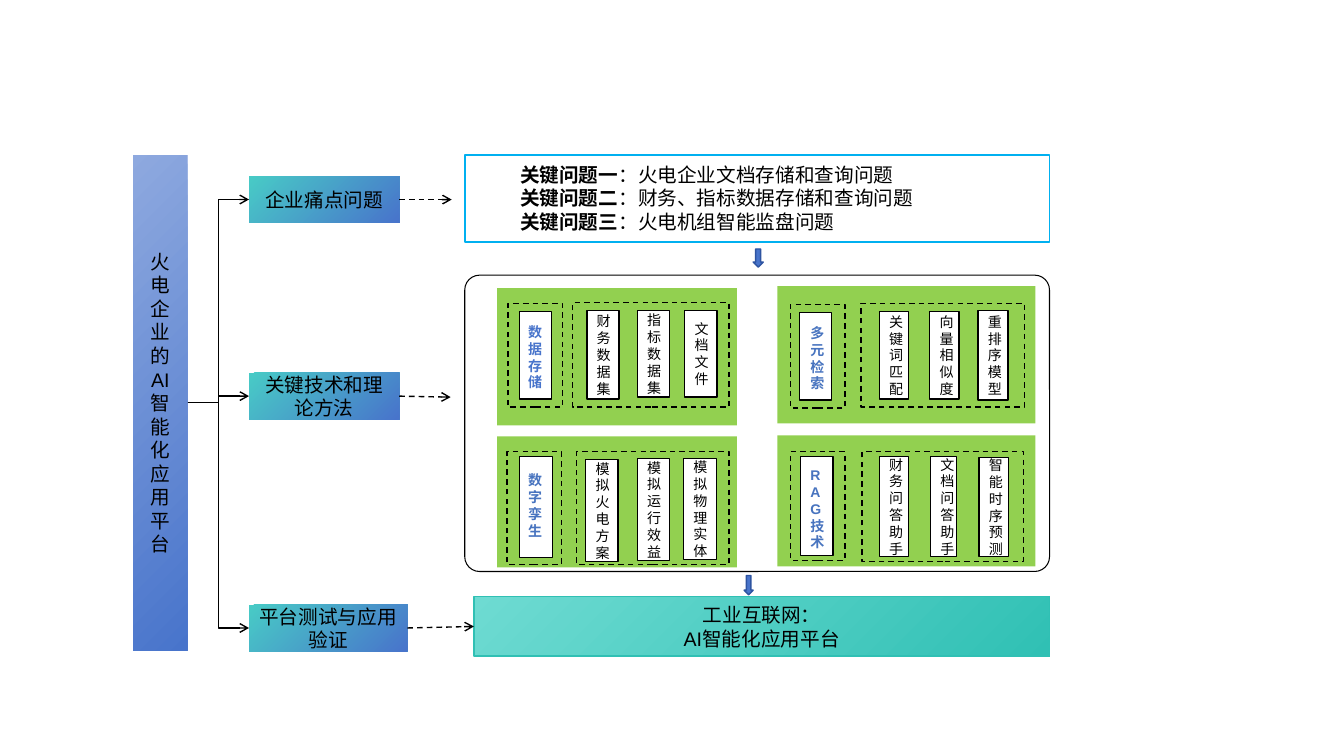
import dataclasses
import typing

import lxml.etree
import pptx
import pptx.dml.color
import pptx.enum.dml
import pptx.enum.shapes
import pptx.enum.text
import pptx.oxml.ns
import pptx.util

COLS, ROWS = 133.3, 75
UNIT = pptx.util.Inches(0.1)
KIND = pptx.enum.shapes.MSO_SHAPE
LINK = pptx.enum.shapes.MSO_CONNECTOR
ALIGN = pptx.enum.text.PP_ALIGN
DASH = pptx.enum.dml.MSO_LINE.DASH
TOP, LEFT, RIGHT = 0, 1, 3

HUES = {
    "black": "000000", "white": "FFFFFF", "green": "92D050", "sky": "00B0F0",
    "blue": "4874CB", "tag": "4874BF", "navy": "2E54A1", "pale": "8EA9DF",
    "aqua": "48CBC6", "mint": "6EDBD2", "teal": "30C0B4",
}
BODY = {"size": pptx.util.Pt(14), "name": "Arial", "bold": False}
SMALL = {**BODY, "size": pptx.util.Pt(10)}
BOLD = {**SMALL, "bold": True}
MIDDLE = {"word_wrap": True, "vertical_anchor": pptx.enum.text.MSO_ANCHOR.MIDDLE}
UPPER = {"word_wrap": True, "vertical_anchor": pptx.enum.text.MSO_ANCHOR.TOP}


class Box(typing.NamedTuple):
    col: float
    row: float
    wide: float
    high: float


class Look(typing.NamedTuple):
    fill: tuple[str, ...] = ()
    line: str = ""
    width: float = 1
    dash: bool = False


@dataclasses.dataclass
class Note:
    text: str
    box: Box


@dataclasses.dataclass
class Panel:
    field: Box
    tag: Box
    plate: Box
    label: Note
    hue: str
    group: Box
    cards: list[Note]


CARD = Look(("white",), "black")
DASHED = Look((), "black", dash=True)
STEP = Look(("aqua", "blue"))
ARROW = Look(("blue",), "navy")

PANELS = [
    Panel(Box(49.3, 28.6, 23.8, 13.6), Box(50.4, 30.1, 5.4, 10.3),
          Box(51.5, 30.9, 3.2, 8.7), Note("数据存储", Box(51.4, 31.6, 3, 7.7)),
          "blue", Box(56.8, 30, 15.5, 10.4),
          [Note("财务数据集", Box(58.2, 30.8, 3.2, 8.8)),
           Note("指标数据集", Box(63.2, 30.8, 3.2, 8.6)),
           Note("文档文件", Box(67.9, 30.8, 3.2, 8.6))]),
    Panel(Box(77.1, 28.4, 25.6, 13.6), Box(78.4, 30.2, 5.4, 10.3),
          Box(79.3, 31, 3.2, 8.7), Note("多元检索", Box(79.4, 31.7, 2.9, 7.7)),
          "tag", Box(85.4, 30.1, 16.2, 10.3),
          [Note("关键词匹配", Box(87.2, 30.9, 2.9, 8.7)),
           Note("向量相似度", Box(92.2, 30.9, 2.9, 8.7)),
           Note("重排序模型", Box(97, 30.8, 3, 8.9))]),
    Panel(Box(49.3, 43.3, 23.8, 13), Box(50.3, 44.8, 5.4, 11.2),
          Box(51.5, 45.3, 3.3, 10), Note("数字孪生", Box(51.4, 46.3, 2.5, 7.7)),
          "tag", Box(57.2, 44.8, 15.1, 11.2),
          [Note("模拟火电方案", Box(58.1, 45.6, 3.2, 10.1)),
           Note("模拟运行效益", Box(63.2, 45.5, 3.2, 10.1)),
           Note("模拟物理实体", Box(67.8, 45.5, 3.3, 10))]),
    Panel(Box(77.1, 43.2, 25.6, 13), Box(78.4, 44.8, 5.4, 10.8),
          Box(79.4, 45.3, 3.2, 9.8), Note("RAG\n技\n术", Box(79.4, 45.8, 3.2, 9.3)),
          "tag", Box(85.5, 44.8, 16, 10.9),
          [Note("财务问答助手", Box(87.2, 45.3, 2.9, 9.9)),
           Note("文档问答助手", Box(92.3, 45.3, 2.6, 9.9)),
           Note("智能时序预测", Box(97.1, 45.4, 2.9, 9.8))]),
]
STEPS = [
    Note("企业痛点问题", Box(24.7, 17.5, 14.9, 4.6)),
    Note("关键技术和理论方法", Box(24.7, 37, 14.9, 4.6)),
    Note("平台测试与应用验证", Box(24.7, 60, 15.7, 4.6)),
]
TITLE = Note("火\n电\n企\n业的\nAI\n智\n能\n化\n应\n用\n平\n台", Box(13.2, 15.4, 5.4, 49.1))
GOAL = Note("工业互联网：\nAI智能化应用平台", Box(47, 59.2, 57.1, 5.9))
ISSUES = [
    ("关键问题一", "：火电企业文档存储和查询问题"),
    ("关键问题二", "：财务、指标数据存储和查询问题"),
    ("关键问题三", "：火电机组智能监盘问题"),
]


def grid(*spots: float) -> list[int]:
    return [round(spot * UNIT) for spot in spots]


def tint(name: str) -> pptx.dml.color.RGBColor:
    return pptx.dml.color.RGBColor.from_string(HUES[name])


def apply(target, values: dict) -> None:
    for name, value in values.items():
        setattr(target, name, value)


def stroke(line, look: Look) -> None:
    line.color.rgb = tint(look.line)
    line.width = pptx.util.Pt(look.width)
    if look.dash:
        line.dash_style = DASH


def block(slide, box: Box, look: Look, kind=KIND.RECTANGLE):
    shape = slide.shapes.add_shape(kind, *grid(*box))
    shape.shadow.inherit = False
    if len(look.fill) == 2:
        shape.fill.gradient()
        shape.fill.gradient_angle = 315
        for stop, name in zip(shape.fill.gradient_stops, look.fill):
            stop.color.rgb = tint(name)
    elif look.fill:
        shape.fill.solid()
        shape.fill.fore_color.rgb = tint(look.fill[0])
    else:
        shape.fill.background()
    if look.line:
        stroke(shape.line, look)
    else:
        shape.line.fill.background()
    return shape


def add_run(para, text: str, font: dict, hue: str) -> None:
    run = para.add_run()
    run.text = text
    apply(run.font, font)
    run.font.color.rgb = tint(hue)


def write(shape, lines: list, font: dict, hue="black", align=ALIGN.CENTER, frame=MIDDLE) -> None:
    apply(shape.text_frame, frame)
    for turn, line in enumerate(lines):
        para = shape.text_frame.add_paragraph() if turn else shape.text_frame.paragraphs[0]
        para.alignment = align
        for text, bold in line:
            add_run(para, text, {**font, "bold": bold}, hue)


def plain(text: str, bold: bool = False) -> list:
    return [[(line, bold)] for line in text.split("\n")]


def draw_note(slide, note: Note, look: Look, font: dict):
    shape = block(slide, note.box, look)
    write(shape, plain(note.text), font)
    return shape


def arrow(slide, kind, start, end=None, spot=(0, 0), dash=False) -> None:
    link = slide.shapes.add_connector(kind, *grid(*spot, *spot))
    link.begin_connect(start, RIGHT)
    if end is not None:
        link.end_connect(end, LEFT)
    else:
        link.end_x, link.end_y = grid(*spot)
    stroke(link.line, Look(line="black", dash=dash))
    mark = pptx.oxml.ns.qn
    lxml.etree.SubElement(link.line._get_or_add_ln(), mark("a:tailEnd"), type="arrow")
    lxml.etree.SubElement(link._element.spPr, mark("a:effectLst"))


def draw_panel(slide, panel: Panel) -> None:
    block(slide, panel.field, Look(("green",)))
    block(slide, panel.plate, CARD)
    block(slide, panel.tag, DASHED)
    label = slide.shapes.add_textbox(*grid(*panel.label.box))
    write(label, plain(panel.label.text, True), BOLD, panel.hue, ALIGN.LEFT, UPPER)
    block(slide, panel.group, DASHED)
    for card in panel.cards:
        draw_note(slide, card, CARD, SMALL)


def main() -> None:
    deck = pptx.Presentation()
    deck.slide_width, deck.slide_height = grid(COLS, ROWS)
    slide = deck.slides.add_slide(deck.slide_layouts[6])

    block(slide, Box(46.1, 15.4, 58, 8.6), Look(("white",), "sky", 1.25))
    issues = block(slide, Box(50.6, 16.3, 44.7, 6.7), Look(("white",)))
    write(issues, [[(head, True), (rest, False)] for head, rest in ISSUES], BODY, align=ALIGN.LEFT)

    for panel in PANELS:
        draw_panel(slide, panel)
    frame = block(slide, Box(46.1, 27.3, 58, 29.4), Look((), "black", 0.75), KIND.ROUNDED_RECTANGLE)
    frame.adjustments[0] = 0.05
    for box in (Box(74.7, 24.7, 1, 1.8), Box(73.8, 57.1, 0.9, 1.9)):
        block(slide, box, ARROW, KIND.DOWN_ARROW)

    title = draw_note(slide, TITLE, Look(("pale", "blue")), BODY)
    goal = draw_note(slide, GOAL, Look(("mint", "teal"), "teal"), BODY)
    steps = [draw_note(slide, step, STEP, BODY) for step in STEPS]
    for step in steps:
        arrow(slide, LINK.ELBOW, title, step)
    for step, spot in zip(steps, ((44.8, 19.8), (44.7, 39.4))):
        arrow(slide, LINK.STRAIGHT, step, spot=spot, dash=True)
    arrow(slide, LINK.STRAIGHT, steps[-1], goal, dash=True)

    deck.save("out.pptx")


if __name__ == "__main__":
    main()
